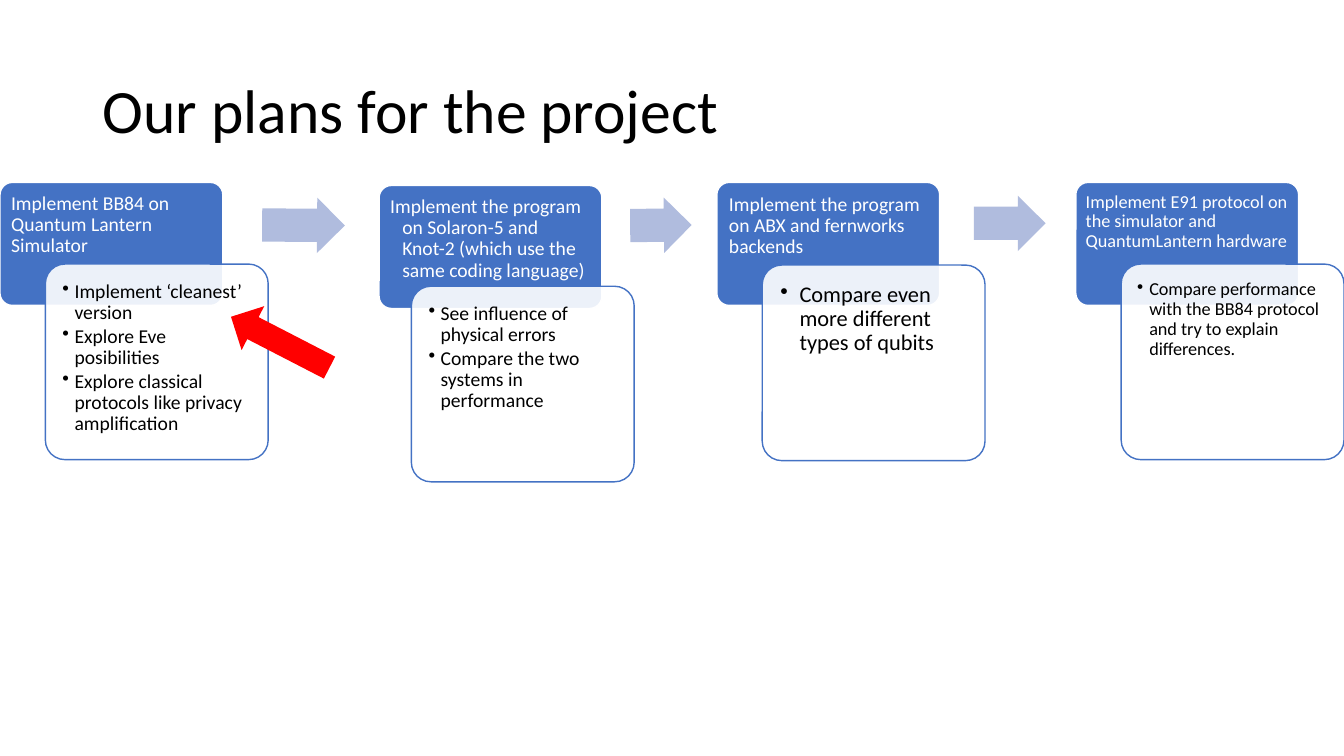
import dataclasses

import pptx
import pptx.dml.color
import pptx.enum.shapes
import pptx.enum.text
import pptx.util
from lxml import etree
from pptx.oxml.ns import qn

Inches, Pt = pptx.util.Inches, pptx.util.Pt
RGB = pptx.dml.color.RGBColor.from_string
SHAPE = pptx.enum.shapes.MSO_SHAPE
ANCHOR = pptx.enum.text.MSO_ANCHOR
ALIGN = pptx.enum.text.PP_ALIGN


@dataclasses.dataclass(frozen=True)
class Theme:
    font: str = "Calibri"
    blue: str = "4472C4"
    pale: str = "B0BCDE"
    red: str = "FF0000"
    white: str = "FFFFFF"
    black: str = "000000"
    title: int = 44
    large: int = 16
    normal: int = 14
    small: int = 13


T = Theme()


def add_shape(kind, box, fill, line=None, adj=(), rotation=0):
    sp = s.shapes.add_shape(kind, *map(Inches, box))
    sp.shadow.inherit = False
    sp.rotation = rotation
    sp.fill.solid()
    sp.fill.fore_color.rgb = RGB(fill)
    if line:
        sp.line.color.rgb = RGB(line)
        sp.line.width = Pt(1)
    else:
        sp.line.fill.background()
    for i, value in enumerate(adj):
        sp.adjustments[i] = value
    return sp


def write(tf, texts, size, color, insets, after=0, indent=0, bullet=False):
    """Fill a text frame, one paragraph per text; indent is a hanging indent in inches."""
    tf.word_wrap = True
    tf.auto_size = pptx.enum.text.MSO_AUTO_SIZE.NONE
    tf.margin_left, tf.margin_top, tf.margin_right, tf.margin_bottom = map(Inches, insets)
    for i, text in enumerate(texts):
        p = tf.add_paragraph() if i else tf.paragraphs[0]
        p.alignment = ALIGN.LEFT
        p.line_spacing = 0.9
        p.space_before, p.space_after = Pt(0), Pt(after)
        pPr = p._p.get_or_add_pPr()
        if indent:
            pPr.set("marL", str(Inches(indent)))
            pPr.set("indent", str(-Inches(indent)))
        if bullet:
            etree.SubElement(pPr, qn("a:buChar")).set("char", "•")
        r = p.add_run()
        r.text = text
        r.font.name, r.font.size = T.font, Pt(size)
        r.font.color.rgb = RGB(color)


prs = pptx.Presentation()
prs.slide_width, prs.slide_height = Inches(13.33), Inches(7.5)
s = prs.slides.add_slide(prs.slide_layouts[5])

title = s.shapes.title
title.left, title.top, title.width, title.height = map(Inches, (0.92, 0.4, 11.5, 1.45))
title.text_frame.vertical_anchor = ANCHOR.MIDDLE
write(title.text_frame, ["Our plans for the project"], T.title, T.black, (0.1, 0.05, 0.1, 0.05))

# Header corner, header indent, header size, detail corner, detail size, detail indent, inset, texts
steps = [
    ((0, 1.81), 0, T.normal, (0.45, 2.62), T.normal, 0.12, 0.11,
     "Implement BB84 on Quantum Lantern Simulator",
     ["Implement ‘cleanest’ version", "Explore Eve posibilities",
      "Explore classical protocols like privacy amplification"]),
    ((3.76, 1.84), 0.12, T.normal, (4.08, 2.84), T.normal, 0.12, 0.11,
     "Implement the program on Solaron-5 and Knot-2 (which use the same coding language)",
     ["See influence of physical errors", "Compare the two systems in performance"]),
    ((7.11, 1.81), 0, T.normal, (7.56, 2.63), T.large, 0.19, 0.12,
     "Implement the program on ABX and fernworks backends",
     ["Compare even more different types of qubits"]),
    ((10.67, 1.81), 0, T.small, (11.12, 2.62), T.small, 0.12, 0.1,
     "Implement E91 protocol on the simulator and QuantumLantern hardware",
     ["Compare performance with the BB84 protocol and try to explain differences."]),
]
CARD_W, HEAD_H, HEAD_TEXT_H, DETAIL_H, PAD = 2.21, 1.22, 0.81, 1.94, 0.06

for (hx, hy), head_indent, head_size, (dx, dy), size, indent, inset, heading, details in steps:
    add_shape(SHAPE.ROUNDED_RECTANGLE, (hx, hy, CARD_W, HEAD_H), T.blue, T.white, [0.1])
    tb = s.shapes.add_textbox(*map(Inches, (hx, hy, CARD_W, HEAD_TEXT_H)))
    write(tb.text_frame, [heading], head_size, T.white, (inset, inset, inset, inset / 2),
          indent=head_indent)

    card = add_shape(SHAPE.ROUNDED_RECTANGLE, (dx, dy, CARD_W, DETAIL_H), T.white, T.blue, [0.1])
    color = card.fill._xPr.find(qn("a:solidFill"))[0]
    etree.SubElement(color, qn("a:alpha")).set("val", "90000")
    tb = s.shapes.add_textbox(*map(Inches, (dx + PAD, dy + PAD, CARD_W - 2 * PAD, DETAIL_H - 2 * PAD)))
    write(tb.text_frame, details, size, T.black, [inset] * 4, after=2, indent=indent, bullet=True)

for x, y, w, rotation in [(2.6, 1.96, 0.82, 0.4), (6.25, 1.96, 0.61, 359.5), (9.66, 1.94, 0.71, 0)]:
    add_shape(SHAPE.RIGHT_ARROW, (x, y, w, 0.55), T.pale, adj=(0.6, 0.5), rotation=rotation)

add_shape(SHAPE.LEFT_ARROW, (2.23, 3.15, 1.1, 0.49), T.red, rotation=27.3)

prs.save("out.pptx")
